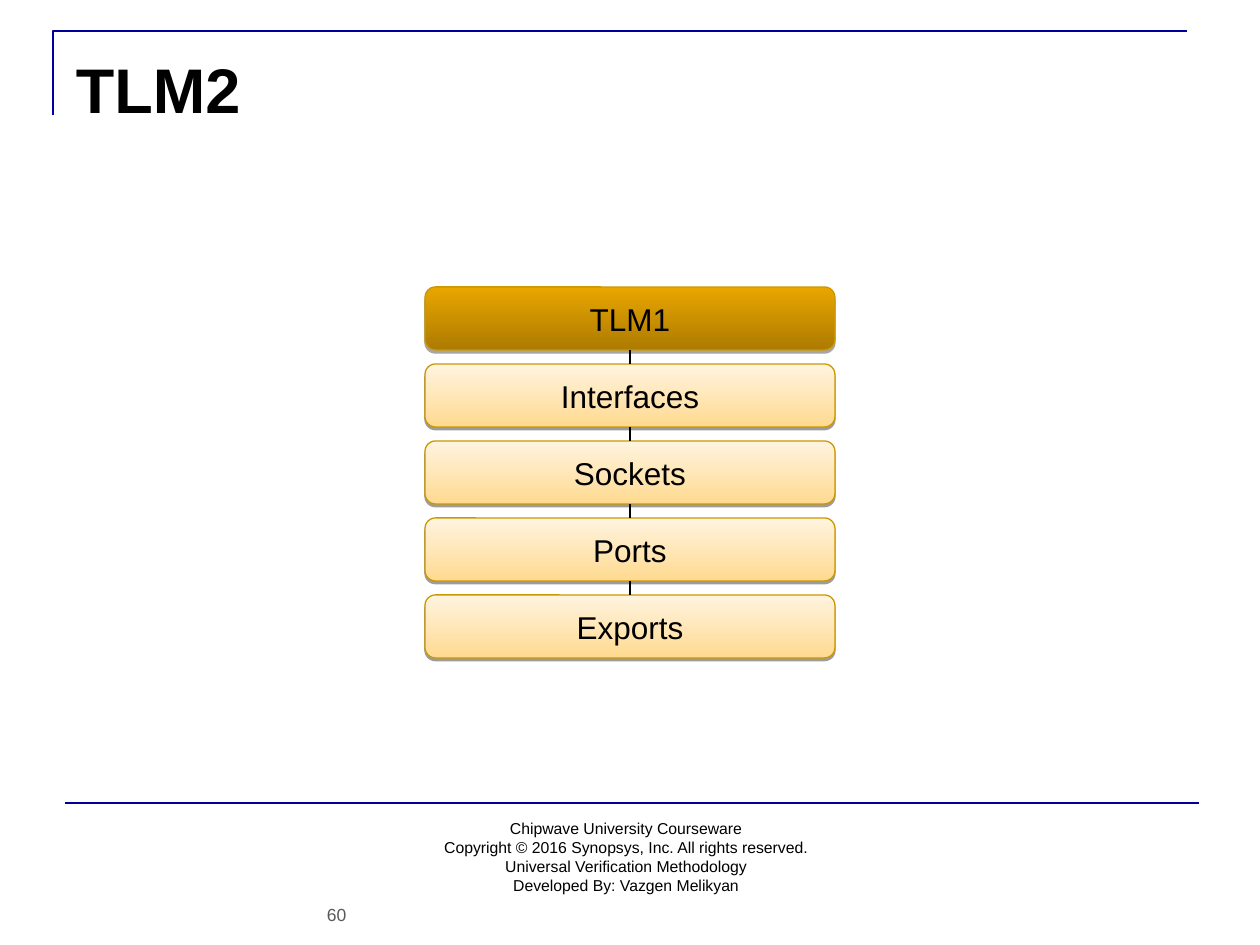
from dataclasses import dataclass

import lxml.etree
import pptx
import pptx.dml.color
import pptx.enum.shapes
import pptx.enum.text
import pptx.oxml.ns
import pptx.util

PX = pptx.util.Inches(1) // 126
ALIGN = pptx.enum.text.PP_ALIGN
ANCHOR = pptx.enum.text.MSO_ANCHOR
STRAIGHT = pptx.enum.shapes.MSO_CONNECTOR.STRAIGHT
qn = pptx.oxml.ns.qn


@dataclass(frozen=True)
class Theme:
    font: str = "Arial"
    ink: str = "000000"
    muted: str = "595959"
    rule: str = "000099"
    border: str = "CC9800"
    head: tuple = ("AD7B00", "E9A600")
    item: tuple = ("FFDA90", "FFF4E0")
    title_size: int = 36
    box_size: int = 18
    footer_size: int = 9
    number_size: int = 10


THEME = Theme()
STACK = ["TLM1", "Interfaces", "Sockets", "Ports", "Exports"]
FOOTER = [
    "Chipwave University Courseware",
    "Copyright © 2016 Synopsys, Inc. All rights reserved.",
    "Universal Verification Methodology",
    "Developed By: Vazgen Melikyan",
]


def rgb(value):
    return pptx.dml.color.RGBColor.from_string(value)


def emu(*lengths):
    return [n * PX for n in lengths]


def set_attrs(obj, values):
    for name, value in values.items():
        setattr(obj, name, value)


def write(sp, lines, size, color=THEME.ink, bold=False, align=ALIGN.LEFT,
          anchor=ANCHOR.TOP, top=6):
    tf = sp.text_frame
    set_attrs(tf, {
        "word_wrap": True, "vertical_anchor": anchor,
        "margin_left": 13 * PX, "margin_right": 13 * PX,
        "margin_top": top * PX, "margin_bottom": 6 * PX,
    })
    for i, line in enumerate(lines):
        p = tf.add_paragraph() if i else tf.paragraphs[0]
        set_attrs(p, {"alignment": align, "space_before": pptx.util.Pt(0)})
        r = p.add_run()
        r.text = line
        set_attrs(r.font, {"name": THEME.font, "size": pptx.util.Pt(size), "bold": bold})
        r.font.color.rgb = rgb(color)


def style_line(sp, color, width):
    sp.line.color.rgb = rgb(color)
    sp.line.width = pptx.util.Pt(width)


def add_line(s, x1, y1, x2, y2, color, width):
    line = s.shapes.add_connector(STRAIGHT, *emu(x1, y1, x2, y2))
    style_line(line, color, width)
    lxml.etree.SubElement(line._element.spPr, qn("a:effectLst"))
    return line


def add_drop_shadow(sp, distance, alpha):
    sp.shadow.inherit = False
    effects = sp._element.spPr.find(qn("a:effectLst"))
    shadow = lxml.etree.SubElement(effects, qn("a:outerShdw"), {
        "blurRad": "0", "dist": str(pptx.util.Pt(distance)),
        "dir": "5400000", "rotWithShape": "0",
    })
    color = lxml.etree.SubElement(shadow, qn("a:srgbClr"), val=THEME.ink)
    lxml.etree.SubElement(color, qn("a:alpha"), val=str(alpha * 1000))


def add_title(s, x, y, w, h):
    title = s.shapes.title
    set_attrs(title, dict(zip(("left", "top", "width", "height"), emu(x, y, w, h))))
    write(title, ["TLM2"], THEME.title_size, bold=True, top=12)


def add_corner_rule(s, x, y, w, h):
    builder = s.shapes.build_freeform(x, y + h, scale=PX)
    builder.add_line_segments([(x, y), (x + w, y)], close=False)
    sp = builder.convert_to_shape()
    sp.fill.background()
    sp.shadow.inherit = False
    style_line(sp, THEME.rule, 1.5)


def add_footer(s, x, y, w, h):
    add_line(s, x, y, x + w, y, THEME.rule, 1.5)
    notice = s.shapes.add_textbox(*emu(x + 246, y + 10, 630, h - 10))
    write(notice, FOOTER, THEME.footer_size, align=ALIGN.CENTER)
    number = s.shapes.add_textbox(*emu(x + 249, y + 95, 53, 34))
    write(number, ["60"], THEME.number_size, THEME.muted)


def add_stack_box(s, x, y, w, h, label, colors, shadow):
    sp = s.shapes.add_shape(
        pptx.enum.shapes.MSO_SHAPE.ROUNDED_RECTANGLE, *emu(x, y, w, h))
    sp.fill.gradient()
    sp.fill.gradient_angle = 90
    for stop, position, color in zip(sp.fill.gradient_stops, (0, 1), colors):
        stop.position = position
        stop.color.rgb = rgb(color)
    style_line(sp, THEME.border, 0.75)
    add_drop_shadow(sp, *shadow)
    write(sp, [label], THEME.box_size, align=ALIGN.CENTER, anchor=ANCHOR.MIDDLE)
    return sp


def add_stack(s, x, y, w, h, box_h=63):
    """Spread the boxes evenly over the height and join each to the next."""
    pitch = (h - box_h) // (len(STACK) - 1)
    previous = None
    for i, label in enumerate(STACK):
        colors, shadow = (THEME.item, (1.6, 38)) if i else (THEME.head, (1.8, 35))
        top = y + i * pitch
        box = add_stack_box(s, x, top, w, box_h, label, colors, shadow)
        if previous is not None:
            mid = x + w // 2
            link = add_line(s, mid, top - pitch + box_h, mid, top, THEME.ink, 0.75)
            link.begin_connect(previous, 2)
            link.end_connect(box, 0)
        previous = box


def main():
    prs = pptx.Presentation()
    prs.slide_width, prs.slide_height = emu(1260, 945)
    s = prs.slides.add_slide(prs.slide_layouts.get_by_name("Title Only"))
    add_corner_rule(s, 53, 31, 1134, 84)
    add_footer(s, 65, 803, 1134, 98)
    add_title(s, 63, 38, 1134, 157)
    add_stack(s, 425, 287, 410, 371)
    prs.save("out.pptx")


if __name__ == "__main__":
    main()
